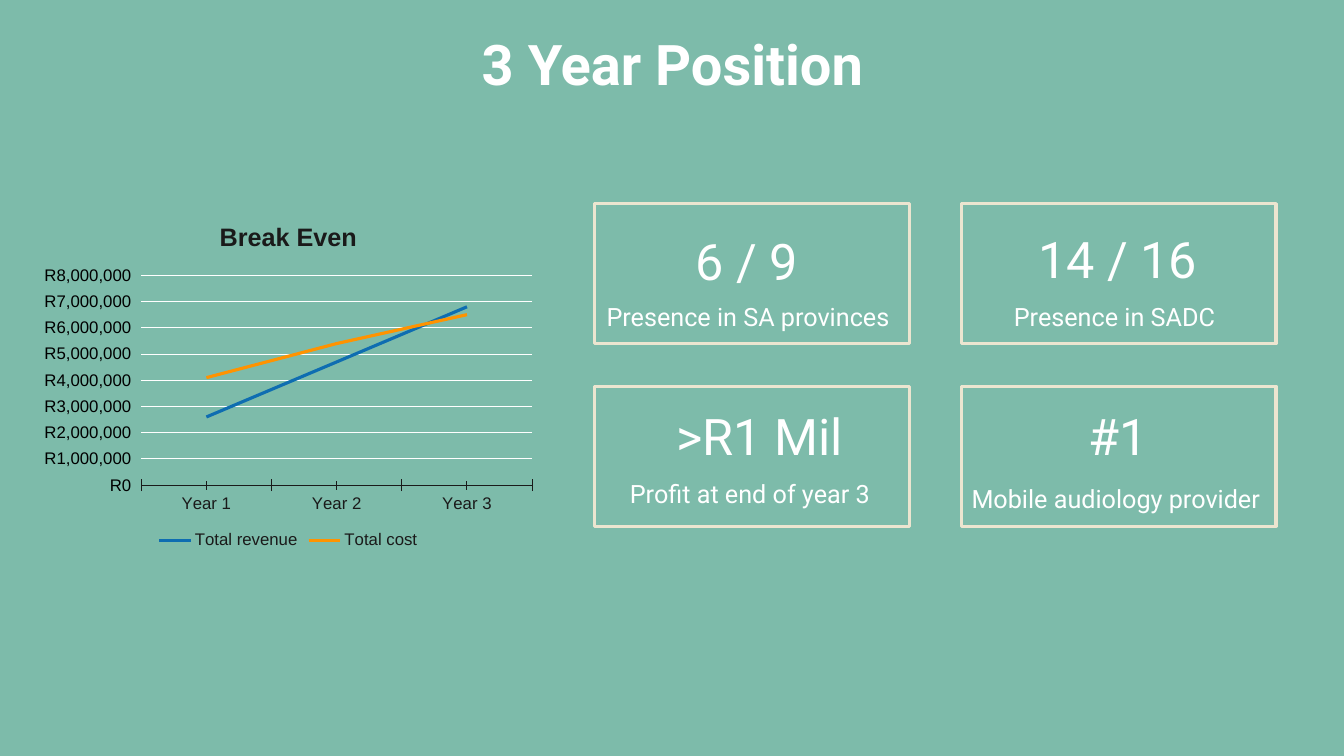
from pptx import Presentation
from pptx.chart.data import CategoryChartData
from pptx.dml.color import RGBColor
from pptx.enum.chart import XL_CHART_TYPE as ChartType, XL_LEGEND_POSITION as LegendPosition
from pptx.enum.chart import XL_TICK_MARK as TickMark
from pptx.enum.shapes import MSO_SHAPE as Shape
from pptx.enum.text import MSO_ANCHOR as Anchor, MSO_AUTO_SIZE as AutoSize, PP_ALIGN as Align
from pptx.util import Pt

WHITE, INK, SAND = "FFFFFF", "1A1A1A", "ECE5D0"


def color(hex_code):
    return RGBColor.from_string(hex_code)


def style(font, size, hex_code, name="Arial", bold=False):
    font.size, font.name, font.bold = Pt(size), name, bold
    font.color.rgb = color(hex_code)


# Deck and background
deck = Presentation()
deck.slide_width, deck.slide_height = Pt(960), Pt(540)
page = deck.slides.add_slide(deck.slide_layouts[5])
page.background.fill.solid()
page.background.fill.fore_color.rgb = color("7DBBAA")

# Title
title = page.shapes.title
title.left, title.top, title.width, title.height = Pt(60.5), Pt(25.2), Pt(839.5), Pt(40.3)
title.text_frame.auto_size = AutoSize.NONE
title.text_frame.vertical_anchor = Anchor.MIDDLE
para = title.text_frame.paragraphs[0]
para.alignment = Align.CENTER
span = para.add_run()
span.text = "3 Year Position"
style(span.font, 40, WHITE, "Roboto", True)

# Break-even chart
data = CategoryChartData(number_format='"R"#,##0')
data.categories = ["Year 1", "Year 2", "Year 3"]
data.add_series("Total revenue", [2600000, 4700000, 6800000])
data.add_series("Total cost", [4100000, 5400000, 6500000])
chart = page.shapes.add_chart(
    ChartType.LINE, Pt(24.5), Pt(145.4), Pt(362.9), Pt(249.8), data).chart
style(chart.font, 10, "333333")

chart.has_title = True
span = chart.chart_title.text_frame.paragraphs[0].add_run()
span.text = "Break Even"
style(span.font, 18, INK, bold=True)
chart.chart_title.include_in_layout = False

chart.has_legend = True
chart.legend.position = LegendPosition.BOTTOM
chart.legend.include_in_layout = False
style(chart.legend.font, 12, INK)

plot = chart.plots[0]
plot.vary_by_categories = False
for series, line_color in zip(plot.series, ["0E6DB1", "FF9300"]):
    series.smooth = False
    series.format.line.width = Pt(2.25)
    series.format.line.color.rgb = color(line_color)

# Chart axes
years, rands = chart.category_axis, chart.value_axis
for axis, text_color in [(years, INK), (rands, "000000")]:
    axis.major_tick_mark, axis.minor_tick_mark = TickMark.CROSS, TickMark.CROSS
    style(axis.tick_labels.font, 12, text_color)
years.format.line.width = Pt(0.75)
years.format.line.color.rgb = color(INK)
rands.format.line.fill.background()
rands.minimum_scale, rands.maximum_scale, rands.major_unit = 0, 8000000, 1000000
rands.tick_labels.number_format = '"R"#,##0'
rands.tick_labels.number_format_is_linked = False
rands.has_major_gridlines = True
rands.major_gridlines.format.line.width = Pt(0.75)
rands.major_gridlines.format.line.color.rgb = color(WHITE)

# Frames of the four key figures
for top in (145.4, 275.8):
    for left in (424.8, 686.9):
        frame = page.shapes.add_shape(Shape.RECTANGLE, Pt(left), Pt(top), Pt(224.6), Pt(100.1))
        frame.shadow.inherit = False
        frame.fill.background()
        frame.line.color.rgb = color(SAND)
        frame.line.width = Pt(2.25)

# Figures and captions: text, size, left, top, width, height
labels = [
    ("6 / 9", 36, 489.6, 160.6, 88.6, 51.1),
    ("Presence in SA provinces", 18, 426.2, 211.7, 218.9, 28.8),
    (">R1 Mil", 36, 475.9, 285.8, 134.6, 51.1),
    ("Profit at end of year 3", 18, 442.8, 338.4, 188.6, 28.8),
    ("14 / 16", 36, 734.4, 159.1, 129.6, 51.1),
    ("Presence in SADC", 18, 717.1, 211.7, 164.2, 28.8),
    ("#1", 36, 770.4, 285.8, 57.6, 51.1),
    ("Mobile audiology provider", 18, 686.9, 342, 223.2, 28.8),
]
for text, size, *place in labels:
    box = page.shapes.add_textbox(*[Pt(length) for length in place])
    box.text_frame.word_wrap = False
    box.text_frame.auto_size = AutoSize.SHAPE_TO_FIT_TEXT
    span = box.text_frame.paragraphs[0].add_run()
    span.text = text
    style(span.font, size, WHITE, "Roboto")

deck.save("out.pptx")
